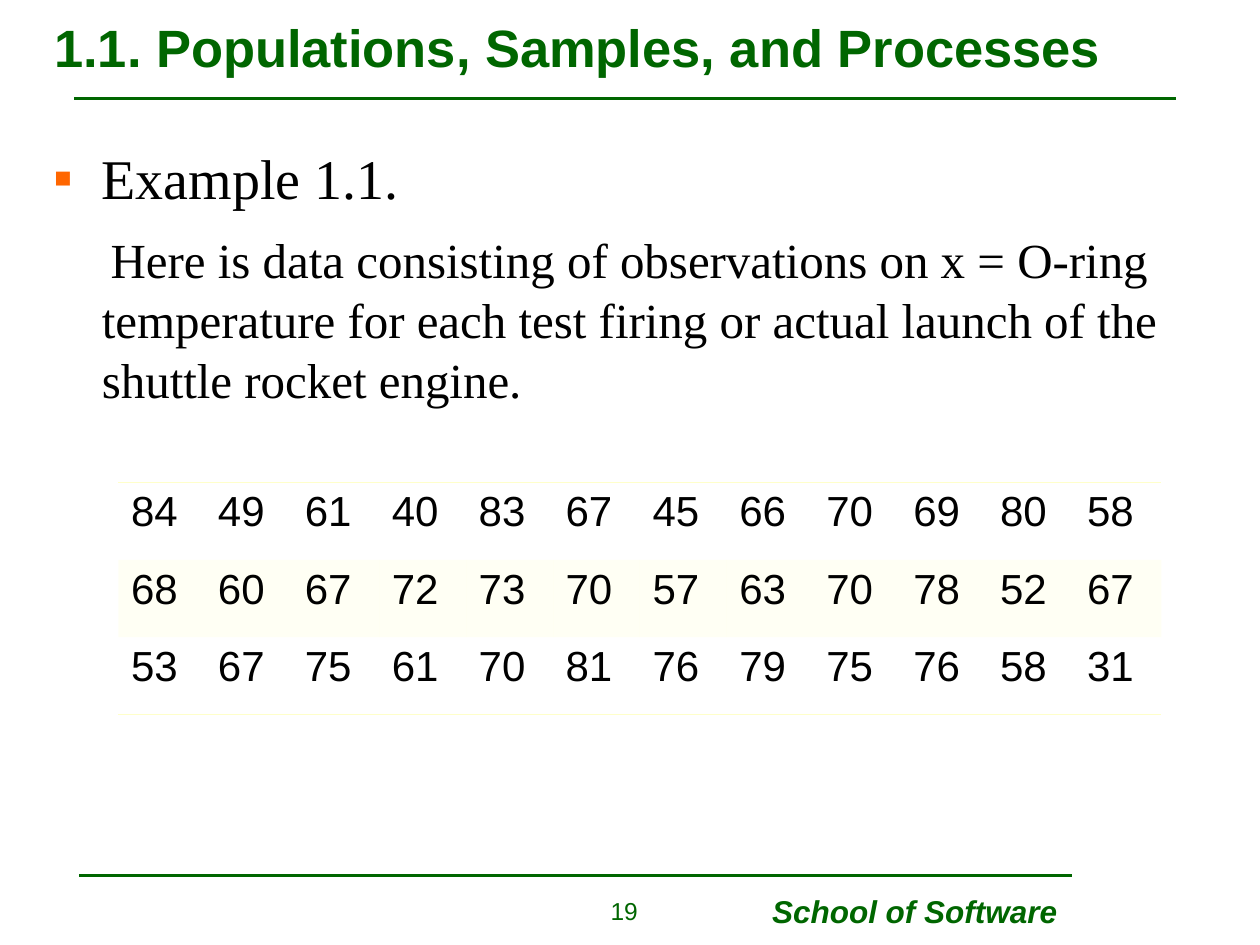
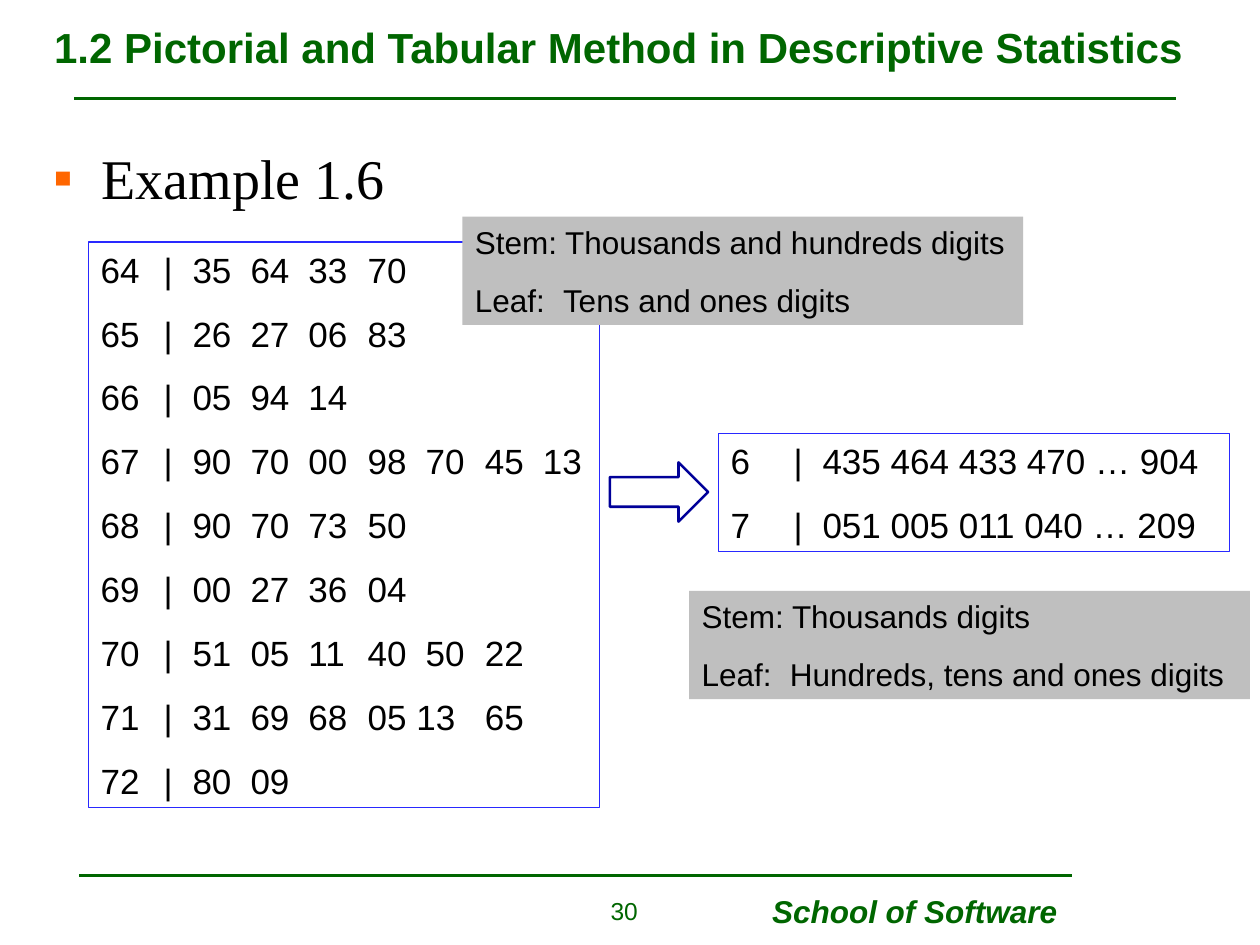
from dataclasses import dataclass
from typing import Any

from lxml import etree
from pptx import Presentation
from pptx.dml.color import RGBColor
from pptx.enum.shapes import MSO_CONNECTOR as Connector, MSO_SHAPE as Preset
from pptx.enum.text import MSO_ANCHOR as Anchor, MSO_AUTO_SIZE as AutoSize, PP_ALIGN as Align
from pptx.oxml.ns import qn
from pptx.util import Pt

PX = 9144  # EMU in one px, at 100 px to the inch
COLORS = {
    "green": "006600", "black": "000000", "orange": "FF6600", "cream": "FFFFCA",
    "blue": "2929FF", "navy": "000099", "gray": "BFBFBF",
}
PLAIN_TABLE = "{2D5ABB26-0587-4C30-8999-92F81FD0307C}"


@dataclass(frozen=True)
class Area:
    left: int
    top: int
    width: int
    height: int

    def emu(self) -> tuple[int, ...]:
        return tuple(v * PX for v in (self.left, self.top, self.width, self.height))


@dataclass(frozen=True)
class Look:
    """Text format: points for sizes, px for tab stops."""
    size: float
    color: str = "black"
    name: str = "Arial"
    bold: bool = False
    italic: bool = False
    leading: float = 0
    gap: float = 0
    tabs: tuple[int, ...] = ()
    align: Any = Align.LEFT


@dataclass(frozen=True)
class Panel:
    area: Area
    lines: tuple[str, ...]
    look: Look
    fill: str = ""
    line: str = ""


# Shared parts
TITLE_AREA = Area(33, 3, 934, 68)
BODY_AREA = Area(33, 109, 934, 578)
NUMBER_AREA = Area(414, 706, 102, 36)
SCHOOL_AREA = Area(603, 703, 260, 40)
RULES = ((59, 933, 78), (63, 851, 695))
HANG = 38

NUMBER = Look(14, "green", align=Align.RIGHT)
SCHOOL = Look(18, "green", bold=True, italic=True)
HEADING = Look(32, name="Times New Roman", leading=38.5)
PROSE = Look(28, name="Times New Roman", leading=34.3, gap=10.2)
CELL = Look(24)
LEAVES = Look(20, leading=24, gap=12.5,
              tabs=(50, *(73 + 232 * k // 5 for k in range(7))))
NOTE = Look(18, leading=21.8, gap=11.2, tabs=(70,))

# Slide content
TEMPERATURES = (
    (84, 49, 61, 40, 83, 67, 45, 66, 70, 69, 80, 58),
    (68, 60, 67, 72, 73, 70, 57, 63, 70, 78, 52, 67),
    (53, 67, 75, 61, 70, 81, 76, 79, 75, 76, 58, 31),
)
TABLE_AREA = Area(94, 383, 828, 184)
STEM_LEAVES = {
    64: ("35", "64", "33", "70"),
    65: ("26", "27", "06", "83"),
    66: ("05", "94", "14"),
    67: ("90", "70", "00", "98", "70", "45", "13"),
    68: ("90", "70", "73", "50"),
    69: ("00", "27", "36", "04"),
    70: ("51", "05", "11", "40", "50", "22"),
    71: ("31", "69", "68", "05 13", "65"),
    72: ("80", "09"),
}
SHORT_STEMS = {6: ("435 464 433 470 … 904",), 7: ("051 005 011 040 … 209",)}
ARROW_AREA = Area(484, 367, 78, 47)


def plot_lines(stems: dict[int, tuple[str, ...]]) -> tuple[str, ...]:
    return tuple("\t".join((str(stem), "|", *leaves)) for stem, leaves in stems.items())


PANELS = (
    Panel(Area(70, 192, 406, 449), plot_lines(STEM_LEAVES), LEAVES, line="blue"),
    Panel(Area(570, 344, 406, 94), plot_lines(SHORT_STEMS), LEAVES, line="blue"),
    Panel(Area(367, 172, 445, 86),
          ("Stem: Thousands and hundreds digits", "Leaf:\tTens and ones digits"),
          NOTE, fill="gray"),
    Panel(Area(547, 469, 445, 86),
          ("Stem: Thousands digits", "Leaf:\tHundreds, tens and ones digits"),
          NOTE, fill="gray"),
)


def rgb(color: str) -> RGBColor:
    return RGBColor.from_string(COLORS[color])


def set_all(target: Any, values: dict[str, Any]) -> None:
    for name, value in values.items():
        setattr(target, name, value)


def write(frame: Any, lines: tuple[str, ...], look: Look) -> None:
    for index, text in enumerate(lines):
        para = frame.paragraphs[0] if index == 0 else frame.add_paragraph()
        write_para(para, text, look, first=index == 0)


def write_para(para: Any, text: str, look: Look, first: bool = True) -> None:
    if look.tabs:
        tab_list = etree.SubElement(para._p.get_or_add_pPr(), qn("a:tabLst"))
        for stop in look.tabs:
            etree.SubElement(tab_list, qn("a:tab"), pos=str(stop * PX), algn="l")
    para.alignment = look.align
    if look.leading:
        para.line_spacing = Pt(look.leading)
    if look.gap and not first:
        para.space_before = Pt(look.gap)
    span = para.add_run()
    span.text = text
    set_all(span.font, {"size": Pt(look.size), "name": look.name,
                        "bold": look.bold, "italic": look.italic})
    span.font.color.rgb = rgb(look.color)


def add_text(page: Any, area: Area) -> Any:
    frame = page.shapes.add_textbox(*area.emu()).text_frame
    frame.word_wrap = True
    return frame


def add_shape(page: Any, preset: Any, area: Area, fill: str = "",
              line: str = "", weight: float = 0.75) -> Any:
    shape = page.shapes.add_shape(preset, *area.emu())
    shape.shadow.inherit = False
    if fill:
        shape.fill.solid()
        shape.fill.fore_color.rgb = rgb(fill)
    else:
        shape.fill.background()
    if line:
        shape.line.color.rgb = rgb(line)
        shape.line.width = Pt(weight)
    else:
        shape.line.fill.background()
    return shape


def add_panel(page: Any, panel: Panel) -> None:
    box = add_shape(page, Preset.RECTANGLE, panel.area, panel.fill, panel.line)
    set_all(box.text_frame, {"word_wrap": True, "vertical_anchor": Anchor.TOP})
    write(box.text_frame, panel.lines, panel.look)


def add_rule(page: Any, left: int, right: int, y: int) -> None:
    rule = page.shapes.add_connector(
        Connector.STRAIGHT, left * PX, y * PX, right * PX, y * PX)
    rule.line.color.rgb = rgb("green")
    rule.line.width = Pt(1.5)
    etree.SubElement(rule._element.spPr, qn("a:effectLst"))


def add_page(deck: Any, title: str, title_size: int, number: int, heading: str) -> tuple[Any, Any]:
    """Add a slide with the shared parts; return it and its body text frame."""
    page = deck.slides.add_slide(deck.slide_layouts[5])
    for rule in RULES:
        add_rule(page, *rule)
    write(add_text(page, SCHOOL_AREA), ("School of Software",), SCHOOL)

    # Bulleted heading
    body = add_text(page, BODY_AREA)
    props = body.paragraphs[0]._p.get_or_add_pPr()
    props.set("marL", str(HANG * PX))
    props.set("indent", str(-HANG * PX))
    bullet_color = etree.SubElement(props, qn("a:buClr"))
    etree.SubElement(bullet_color, qn("a:srgbClr"), val=COLORS["orange"])
    etree.SubElement(props, qn("a:buFont"), typeface="Arial")
    etree.SubElement(props, qn("a:buChar"), char="▪")
    write(body, (heading,), HEADING)

    # Title and slide number
    holder = page.shapes.title
    set_all(holder, dict(zip(("left", "top", "width", "height"), TITLE_AREA.emu())))
    set_all(holder.text_frame, {"word_wrap": True, "auto_size": AutoSize.NONE,
                                "vertical_anchor": Anchor.MIDDLE})
    write(holder.text_frame, (title,), Look(title_size, "green", bold=True))
    write(add_text(page, NUMBER_AREA), (str(number),), NUMBER)
    return page, body


def add_border(cell: Any, side: str) -> None:
    line = etree.Element(qn(f"a:{side}"), w=str(Pt(0.45)))
    fill = etree.SubElement(line, qn("a:solidFill"))
    etree.SubElement(fill, qn("a:srgbClr"), val=COLORS["cream"])
    cell._tc.get_or_add_tcPr().insert(0, line)


def add_temperatures(page: Any) -> None:
    rows, columns = len(TEMPERATURES), len(TEMPERATURES[0])
    table = page.shapes.add_table(rows, columns, *TABLE_AREA.emu()).table
    set_all(table, {"first_row": False, "horz_banding": False})
    table._tbl.tblPr.find(qn("a:tableStyleId")).text = PLAIN_TABLE
    for r, values in enumerate(TEMPERATURES):
        for c, value in enumerate(values):
            cell = table.cell(r, c)
            write(cell.text_frame, (str(value),), CELL)
            if r == 1:
                cell.fill.solid()
                cell.fill.fore_color.rgb = rgb("cream")
                tint = cell._tc.tcPr.find(".//" + qn("a:srgbClr"))
                etree.SubElement(tint, qn("a:alpha"), val="20000")
            else:
                cell.fill.background()
                add_border(cell, "lnT" if r == 0 else "lnB")


def main() -> None:
    deck = Presentation()
    set_all(deck, {"slide_width": 1000 * PX, "slide_height": 750 * PX})

    # O-ring temperatures
    page, body = add_page(deck, "1.1. Populations, Samples, and Processes", 30, 19, "Example 1.1.")
    para = body.add_paragraph()
    props = para._p.get_or_add_pPr()
    props.set("marL", str(HANG * PX))
    props.set("indent", str(7 * PX))
    write_para(para, "Here is data consisting of observations on x = O-ring temperature "
               "for each test firing or actual launch of the shuttle rocket engine.",
               PROSE, first=False)
    add_temperatures(page)

    # Stem-and-leaf displays
    page, _ = add_page(deck, "1.2 Pictorial and Tabular Method in Descriptive Statistics",
                       24, 30, "Example 1.6")
    for panel in PANELS:
        add_panel(page, panel)
    add_shape(page, Preset.RIGHT_ARROW, ARROW_AREA, line="navy", weight=1.5)

    deck.save("out.pptx")


if __name__ == "__main__":
    main()
